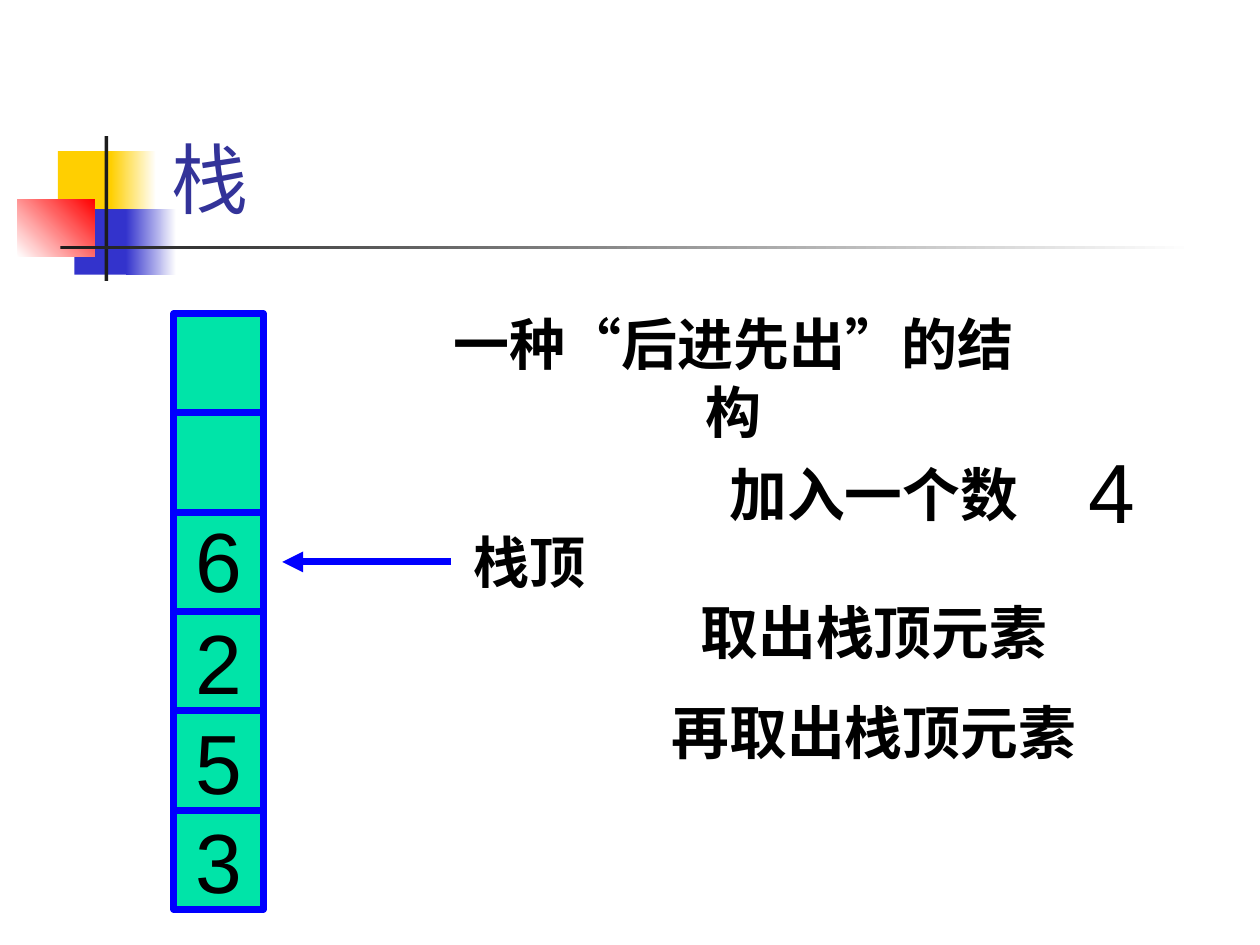
from lxml import etree
from pptx import Presentation, util as u
from pptx.dml.color import RGBColor
from pptx.enum import shapes, text
from pptx.oxml.ns import qn

YELLOW = RGBColor(0xFF, 0xCF, 0x01)
INDIGO = RGBColor(0x33, 0x33, 0xCC)
RED = RGBColor(0xFF, 0x00, 0x00)
WHITE = RGBColor(0xFF, 0xFF, 0xFF)
INK = RGBColor(0x1C, 0x1C, 0x1C)
TITLE_BLUE = RGBColor(0x33, 0x33, 0x99)
GREEN = RGBColor(0x00, 0xE4, 0xA8)
BLUE = RGBColor(0x00, 0x00, 0xFF)
BLACK = RGBColor(0x00, 0x00, 0x00)

WIDTH, HEIGHT = 10, 7.5
STACK_LEFT, STACK_TOP = 1.38, 2.49
CELL_WIDTH, CELL_HEIGHT = 0.71, 0.788
LINE_WEIGHT = u.Pt(4)
OPERATIONS_LEFT, OPERATIONS_WIDTH = 5.16, 3.55

ORNAMENTS = [
    ((0.46, 1.2, 0.48, 0.52), (YELLOW,), 0),
    ((0.88, 1.2, 0.36, 0.52), (YELLOW, WHITE), 0),
    ((0.59, 1.66, 0.46, 0.52), (INDIGO,), 0),
    ((1, 1.66, 0.4, 0.52), (INDIGO, WHITE), 0),
    ((0.14, 1.58, 0.61, 0.46), (WHITE, RED), 45),
    ((0.83, 1.08, 0.03, 1.15), (INK,), 0),
    ((0.48, 1.95, 9, 0.03), (INK, WHITE), 0),
]
TITLE = "栈"
STACK = ["", "", "", "2", "5", "3"]
TOP_ROW = 2
TOP_VALUE, NEW_VALUE = "6", "4"
TOP_LABEL = "栈顶"
DEFINITION = "一种“后进先出”的结构"
OPERATIONS = [("加入一个数", 3.59), ("取出栈顶元素", 4.69), ("再取出栈顶元素", 5.48)]


def inches(box):
    return [u.Inches(value) for value in box]


def write(shape, words, size, color=BLACK, bold=False, font="Arial",
          align=text.PP_ALIGN.CENTER, anchor=text.MSO_ANCHOR.TOP, wrap=True):
    frame = shape.text_frame
    frame.text = words
    frame.word_wrap = wrap
    frame.vertical_anchor = anchor
    paragraph = frame.paragraphs[0]
    paragraph.alignment = align
    for run in paragraph.runs:
        run.font.name = font
        run.font.size = u.Pt(size)
        run.font.bold = bold
        run.font.color.rgb = color


def add_label(slide, box, words, size, **style):
    write(slide.shapes.add_textbox(*inches(box)), words, size, **style)


def add_block(slide, box, colors, angle=0):
    block = slide.shapes.add_shape(shapes.MSO_SHAPE.RECTANGLE, *inches(box))
    block.shadow.inherit = False
    block.line.fill.background()
    if len(colors) == 1:
        block.fill.solid()
        block.fill.fore_color.rgb = colors[0]
    else:
        block.fill.gradient()
        block.fill.gradient_angle = angle
        for stop, color, position in zip(block.fill.gradient_stops, colors, (0, 1)):
            stop.color.rgb = color
            stop.position = position
    return block


def add_stack(slide):
    for row, value in reversed(list(enumerate(STACK))):
        top = STACK_TOP + row * CELL_HEIGHT
        cell = add_block(slide, (STACK_LEFT, top, CELL_WIDTH, CELL_HEIGHT), (GREEN,))
        cell.line.color.rgb = BLUE
        cell.line.width = LINE_WEIGHT
        if value:
            write(cell, value, 48, anchor=text.MSO_ANCHOR.MIDDLE, wrap=False)


def add_arrow(slide, start, end):
    arrow = slide.shapes.add_connector(
        shapes.MSO_CONNECTOR.STRAIGHT, *inches(start + end))
    arrow.line.color.rgb = BLUE
    arrow.line.width = LINE_WEIGHT
    etree.SubElement(arrow.line._get_or_add_ln(), qn("a:tailEnd"), type="triangle")
    etree.SubElement(arrow._element.spPr, qn("a:effectLst"))


def main():
    deck = Presentation()
    deck.slide_width, deck.slide_height = inches((WIDTH, HEIGHT))
    slide = deck.slides.add_slide(deck.slide_layouts[6])

    for box, colors, angle in ORNAMENTS:
        add_block(slide, box, colors, angle)
    add_label(slide, (1.26, 0.23, 8.52, 1.6), TITLE, 44, color=TITLE_BLUE,
              font="Roboto", align=text.PP_ALIGN.LEFT, anchor=text.MSO_ANCHOR.BOTTOM)

    add_stack(slide)
    top_middle = STACK_TOP + (TOP_ROW + 0.5) * CELL_HEIGHT
    add_arrow(slide, (3.58, top_middle), (2.24, top_middle))

    add_label(slide, (3.66, 4.14, 1.09, 0.64), TOP_LABEL, 32, bold=True, wrap=False)
    add_label(slide, (3.28, 2.41, 5.09, 0.64), DEFINITION, 32, bold=True, wrap=False)
    for words, top in OPERATIONS:
        add_label(slide, (OPERATIONS_LEFT, top, OPERATIONS_WIDTH, 0.65), words, 33, bold=True)
    add_label(slide, (8.47, 3.44, CELL_WIDTH, 0.9), NEW_VALUE, 48)
    add_label(slide, (STACK_LEFT, 3.99, CELL_WIDTH, 0.9), TOP_VALUE, 48)

    deck.save("out.pptx")


if __name__ == "__main__":
    main()
